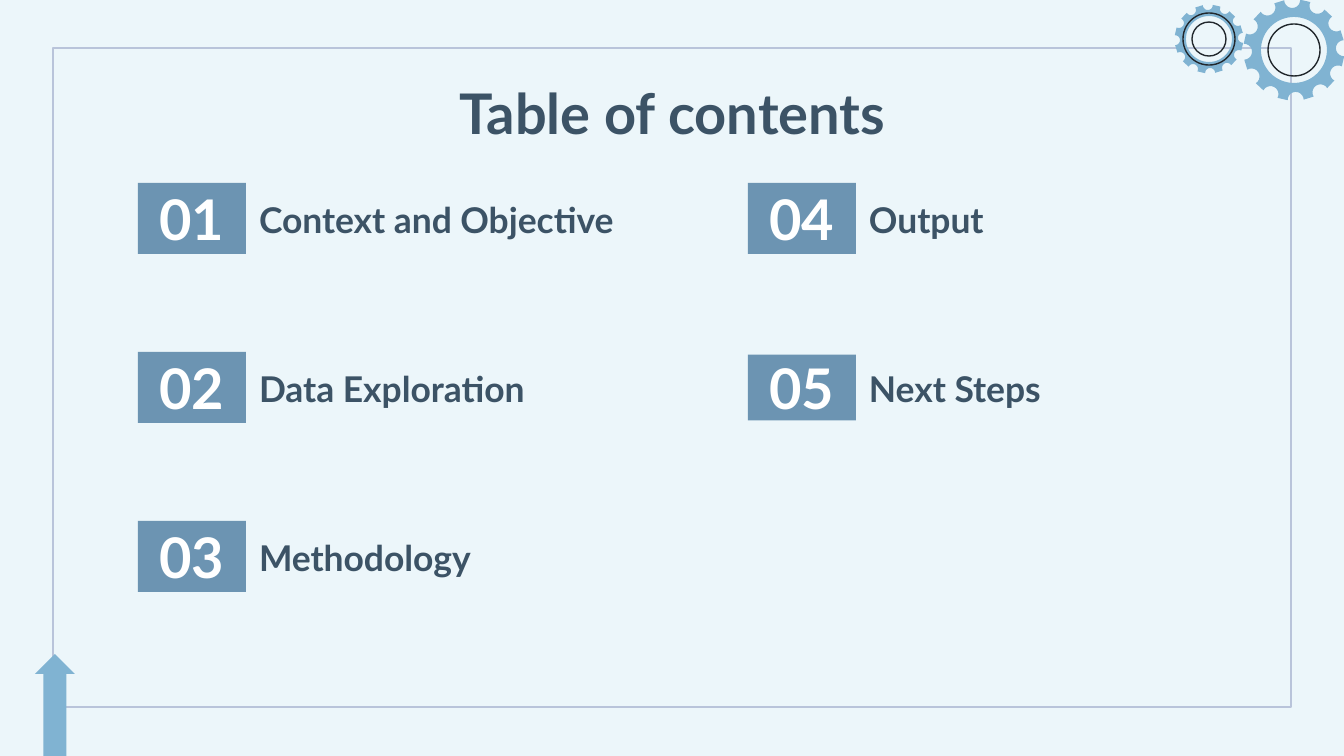
import math

import pptx
import pptx.util
from pptx.dml.color import RGBColor
from pptx.enum.shapes import MSO_SHAPE
from pptx.enum.text import MSO_ANCHOR, MSO_AUTO_SIZE, PP_ALIGN

EMU_PER_PX = 914400 / 134.4
FONT = "Lato"

BACKGROUND = RGBColor(0xEC, 0xF6, 0xFA)
FRAME = RGBColor(0xB9, 0xC4, 0xDA)
LIGHT_BLUE = RGBColor(0x80, 0xB3, 0xD2)
NUMBER_BLUE = RGBColor(0x6C, 0x94, 0xB2)
INK = RGBColor(0x3C, 0x53, 0x66)
RING = RGBColor(0x21, 0x27, 0x2C)
WHITE = RGBColor(0xFF, 0xFF, 0xFF)

# Contents by column, top to bottom
COLUMNS = [
    ["Context and Objective", "Data Exploration", "Methodology"],
    ["Output", "Next Steps"],
]
COLUMN_LEFTS = [138, 748]
ROW_TOP, ROW_STEP, ROW_HEIGHT = 183, 169, 71
NUMBER_WIDTH, LABEL_WIDTH = 108, 426
NUMBER_HEIGHTS = {5: 66}  # the other number boxes fill the row


def px(length):
    return pptx.util.Emu(round(length * EMU_PER_PX))


def style_shape(shape, fill=None, line=None):
    shape.shadow.inherit = False
    if fill is None:
        shape.fill.background()
    else:
        shape.fill.solid()
        shape.fill.fore_color.rgb = fill
    if line is None:
        shape.line.fill.background()
    else:
        shape.line.color.rgb = line
        shape.line.width = pptx.util.Pt(0.75)


def add_shape(slide, kind, left, top, width, height, fill=None, line=None):
    shape = slide.shapes.add_shape(kind, px(left), px(top), px(width), px(height))
    style_shape(shape, fill, line)
    return shape


def set_text(shape, text, size, color, align, anchor, vertical_inset=13):
    frame = shape.text_frame
    frame.word_wrap = True
    frame.auto_size = MSO_AUTO_SIZE.NONE
    frame.vertical_anchor = anchor
    frame.margin_left = frame.margin_right = px(13)
    frame.margin_top = frame.margin_bottom = px(vertical_inset)
    frame.text = text
    paragraph = frame.paragraphs[0]
    paragraph.alignment = align
    paragraph.font.name = FONT
    paragraph.font.size = pptx.util.Pt(size)
    paragraph.font.bold = True
    paragraph.font.color.rgb = color


def arc_points(center_x, center_y, radius, start, end, steps):
    """Points in EMU along an arc, with angles in degrees."""
    points = []
    for step in range(steps + 1):
        angle = math.radians(start + (end - start) * step / steps)
        points.append((px(center_x + radius * math.cos(angle)),
                       px(center_y + radius * math.sin(angle))))
    return points


def add_gear(slide, center_x, center_y, radius, hole, notch, teeth=12):
    # Rim: round notches at equal angles, joined by the tooth tips
    rim = []
    for tooth in range(teeth):
        angle = 360 / teeth * tooth - 92
        notch_x = center_x + radius * math.cos(math.radians(angle))
        notch_y = center_y + radius * math.sin(math.radians(angle))
        rim += arc_points(notch_x, notch_y, notch, angle - 90, angle - 270, 10)
    # The hole runs the other way round
    inner = arc_points(center_x, center_y, hole, 360, 0, 72)

    builder = slide.shapes.build_freeform(*rim[0])
    builder.add_line_segments(rim[1:], close=True)
    builder.move_to(*inner[0])
    builder.add_line_segments(inner[1:], close=True)
    style_shape(builder.convert_to_shape(), LIGHT_BLUE)


def add_ring(slide, center_x, center_y, radius):
    add_shape(slide, MSO_SHAPE.OVAL, center_x - radius, center_y - radius,
              2 * radius, 2 * radius, line=RING)


def add_decoration(slide):
    add_shape(slide, MSO_SHAPE.RECTANGLE, 53, 48, 1238, 659, line=FRAME)

    arrow = add_shape(slide, MSO_SHAPE.UP_ARROW, 35, 654, 40, 102, LIGHT_BLUE)
    arrow.adjustments[0] = 0.57
    arrow.adjustments[1] = 0.5

    add_gear(slide, 1209, 39, 34, 23, 5)
    add_ring(slide, 1209, 39, 26)
    add_ring(slide, 1209, 39, 17)
    add_gear(slide, 1294, 50, 50, 33, 8)
    add_ring(slide, 1294, 50, 26)


def add_title(slide, text):
    title = slide.shapes.title
    title.left, title.top, title.width, title.height = map(px, (106, 66, 1133, 85))
    set_text(title, text, 30, INK, PP_ALIGN.CENTER, MSO_ANCHOR.TOP)


def add_entry(slide, number, label, left, top):
    height = NUMBER_HEIGHTS.get(number, ROW_HEIGHT)
    box = add_shape(slide, MSO_SHAPE.RECTANGLE, left, top + (ROW_HEIGHT - height) / 2,
                    NUMBER_WIDTH, height, NUMBER_BLUE)
    set_text(box, f"{number:02d}", 30, WHITE, PP_ALIGN.CENTER, MSO_ANCHOR.MIDDLE, 0)

    label_box = slide.shapes.add_textbox(px(left + NUMBER_WIDTH), px(top),
                                         px(LABEL_WIDTH), px(ROW_HEIGHT))
    set_text(label_box, label, 19, INK, PP_ALIGN.LEFT, MSO_ANCHOR.BOTTOM)


def main():
    presentation = pptx.Presentation()
    presentation.slide_width = px(1344)
    presentation.slide_height = px(756)
    slide = presentation.slides.add_slide(presentation.slide_layouts[5])
    slide.background.fill.solid()
    slide.background.fill.fore_color.rgb = BACKGROUND

    add_decoration(slide)
    add_title(slide, "Table of contents")

    # Numbered entries
    number = 1
    for left, labels in zip(COLUMN_LEFTS, COLUMNS):
        for row, label in enumerate(labels):
            add_entry(slide, number, label, left, ROW_TOP + row * ROW_STEP)
            number += 1

    presentation.save("out.pptx")


if __name__ == "__main__":
    main()
